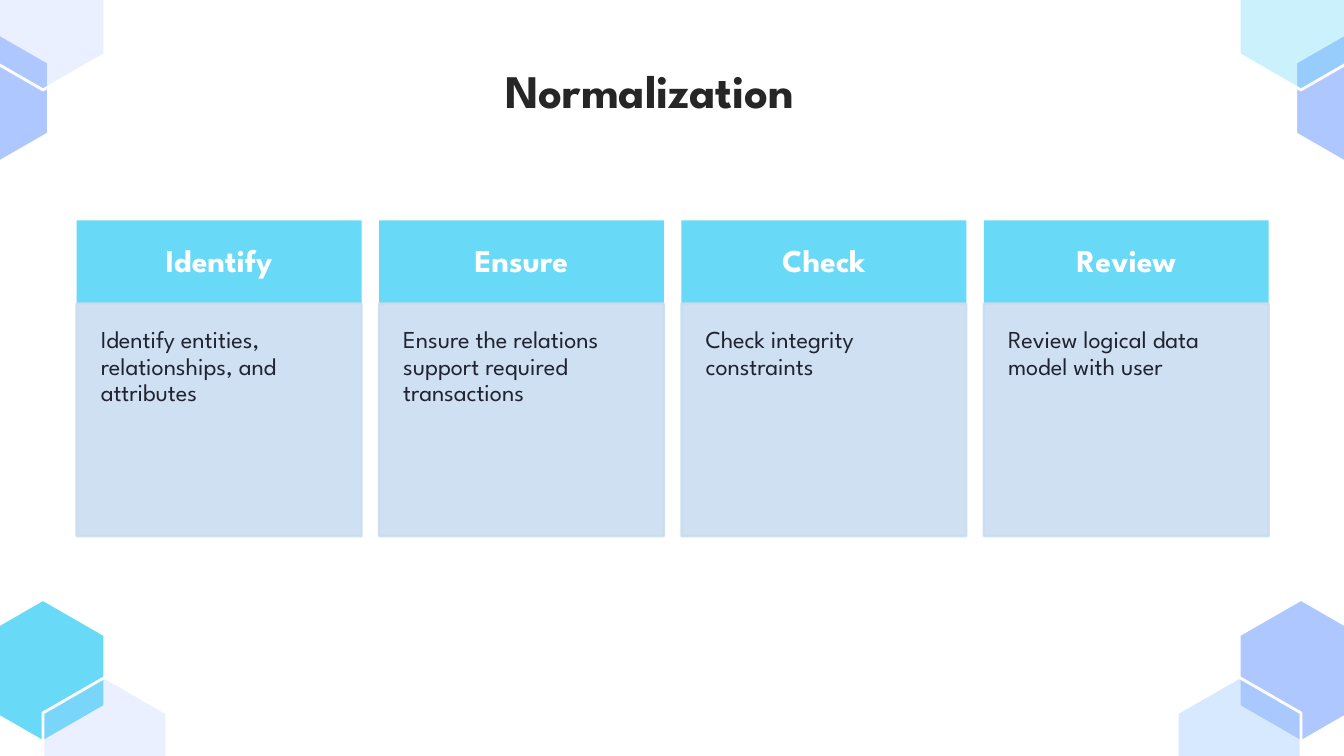
from pptx import Presentation
from pptx.dml.color import RGBColor
from pptx.enum.shapes import MSO_SHAPE
from pptx.enum.text import MSO_ANCHOR, MSO_AUTO_SIZE, PP_ALIGN
from pptx.oxml.ns import qn
from pptx.util import Inches, Pt

RECT = MSO_SHAPE.RECTANGLE
TOP, MIDDLE, BOTTOM = MSO_ANCHOR.TOP, MSO_ANCHOR.MIDDLE, MSO_ANCHOR.BOTTOM
LEFT, CENTER = PP_ALIGN.LEFT, PP_ALIGN.CENTER
NO_FIT = MSO_AUTO_SIZE.NONE

FONT = "League Spartan"
WIDE = 10
HIGH = WIDE * 9 / 16
HEX_W, HEX_H = 0.92, 1.06
CYAN, BLUE, SKY, PALE = "68DAF8", "AFC7FF", "9FCBFD", "C9DDF0"
WHITE, DARK, INK = "FFFFFF", "262626", "202331"

CARDS = [
    ("Identify", "Identify entities, relationships, and attributes"),
    ("Ensure", "Ensure the relations support required transactions"),
    ("Check", "Check integrity constraints"),
    ("Review", "Review logical data model with user"),
]
CELLS = [(-0.14, 4.46), (-0.56, 0.2), (0.32, 5.04), (-0.14, -0.39)]
LEFT_FILLS = [(CYAN, 100), (BLUE, 100), (BLUE, 25), (BLUE, 25)]
RIGHT_FILLS = [(BLUE, 100), (BLUE, 100), (SKY, 41), (CYAN, 34)]


def color(code):
    """Turn a hex string into a colour."""
    return RGBColor.from_string(code)


def fade(node, alpha):
    """Set the opacity, in percent, of the solid fill directly inside a node."""
    tone = node.find(qn("a:solidFill")).find(qn("a:srgbClr"))
    tone.append(tone.makeelement(qn("a:alpha"), {"val": str(alpha * 1000)}))


def paint(shape, fill, line=None, width=1.25, alpha=100, edge=100):
    """Give a shape its fill, outline and opacity, without a shadow."""
    shape.shadow.inherit = False
    shape.fill.solid()
    shape.fill.fore_color.rgb = color(fill)
    if line:
        shape.line.color.rgb = color(line)
        shape.line.width = Pt(width)
    else:
        shape.line.fill.background()
    props = shape._element.spPr
    if alpha < 100:
        fade(props, alpha)
    if edge < 100:
        fade(props.find(qn("a:ln")), edge)


def write(shape, text, size, tint, bold=False, align=LEFT, anchor=TOP,
          inset=0.1, space=1.0):
    """Put one formatted paragraph into a shape."""
    frame = shape.text_frame
    frame.word_wrap = True
    frame.auto_size = NO_FIT
    frame.vertical_anchor = anchor
    frame.margin_left = frame.margin_right = Inches(inset)
    frame.margin_top = frame.margin_bottom = Inches(inset)
    para = frame.paragraphs[0]
    para.alignment = align
    para.line_spacing = space
    run = para.add_run()
    run.text = text
    font = run.font
    font.name, font.size, font.bold = FONT, Pt(size), bold
    font.color.rgb = color(tint)


def add_hex(slide, x, y, fill, alpha):
    """Draw one pointed-top hexagon in the box that starts at x, y."""
    mid, right = x + HEX_W / 2, x + HEX_W
    high, low = y + HEX_H / 4, y + HEX_H * 3 / 4
    points = [(right, high), (right, low), (mid, y + HEX_H), (x, low), (x, high)]
    pen = slide.shapes.build_freeform(Inches(mid), Inches(y))
    pen.add_line_segments([(Inches(a), Inches(b)) for a, b in points])
    paint(pen.convert_to_shape(), fill, WHITE, 1.5, alpha)


def add_side(slide, fills, flip=False):
    """Draw the hexagons of one slide edge, mirrored for the right one."""
    for (x, y), (fill, alpha) in zip(CELLS, fills):
        add_hex(slide, WIDE - HEX_W - x if flip else x, y, fill, alpha)


def add_title(slide, text, x, y, w, h):
    """Place and format the title."""
    title = slide.shapes.title
    title.left, title.top = Inches(x), Inches(y)
    title.width, title.height = Inches(w), Inches(h)
    write(title, text, 25, DARK, bold=True, align=CENTER, anchor=BOTTOM)


def add_card(slide, head, body, x, y, w, h, bar=0.62):
    """Draw a card with a header bar over a body panel."""
    top = slide.shapes.add_shape(RECT, Inches(x), Inches(y), Inches(w), Inches(bar))
    paint(top, CYAN)
    write(top, head, 17, WHITE, bold=True, align=CENTER, anchor=MIDDLE,
          inset=0.15, space=0.9)
    panel = slide.shapes.add_shape(RECT, Inches(x), Inches(y + bar),
                                   Inches(w), Inches(h - bar))
    paint(panel, PALE, PALE, alpha=89, edge=89)
    write(panel, body, 13, INK, inset=0.18, space=0.9)


def add_cards(slide, x, y, w, h, gap=0.13):
    """Spread the cards evenly over a box."""
    count = len(CARDS)
    each = (w - gap * (count - 1)) / count
    for i, (head, body) in enumerate(CARDS):
        add_card(slide, head, body, x + i * (each + gap), y, each, h)


def main():
    """Build and save the slide."""
    deck = Presentation()
    deck.slide_width, deck.slide_height = Inches(WIDE), Inches(HIGH)
    slide = deck.slides.add_slide(deck.slide_layouts[5])
    add_side(slide, RIGHT_FILLS, flip=True)
    add_side(slide, LEFT_FILLS)
    add_title(slide, "Normalization", 1.53, 0.4, 6.61, 0.58)
    add_cards(slide, 0.57, 1.64, 8.87, 2.35)
    deck.save("out.pptx")


if __name__ == "__main__":
    main()
